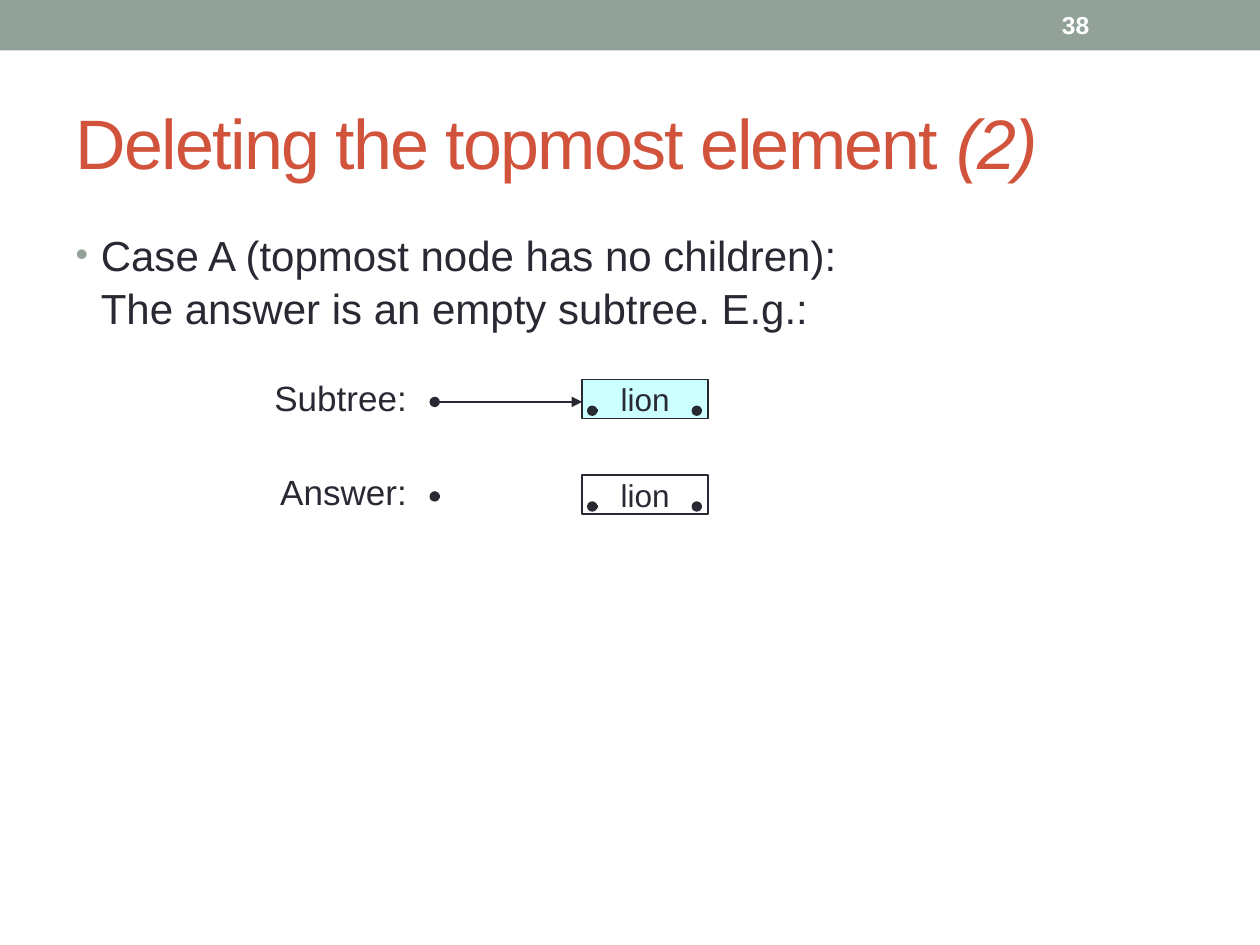
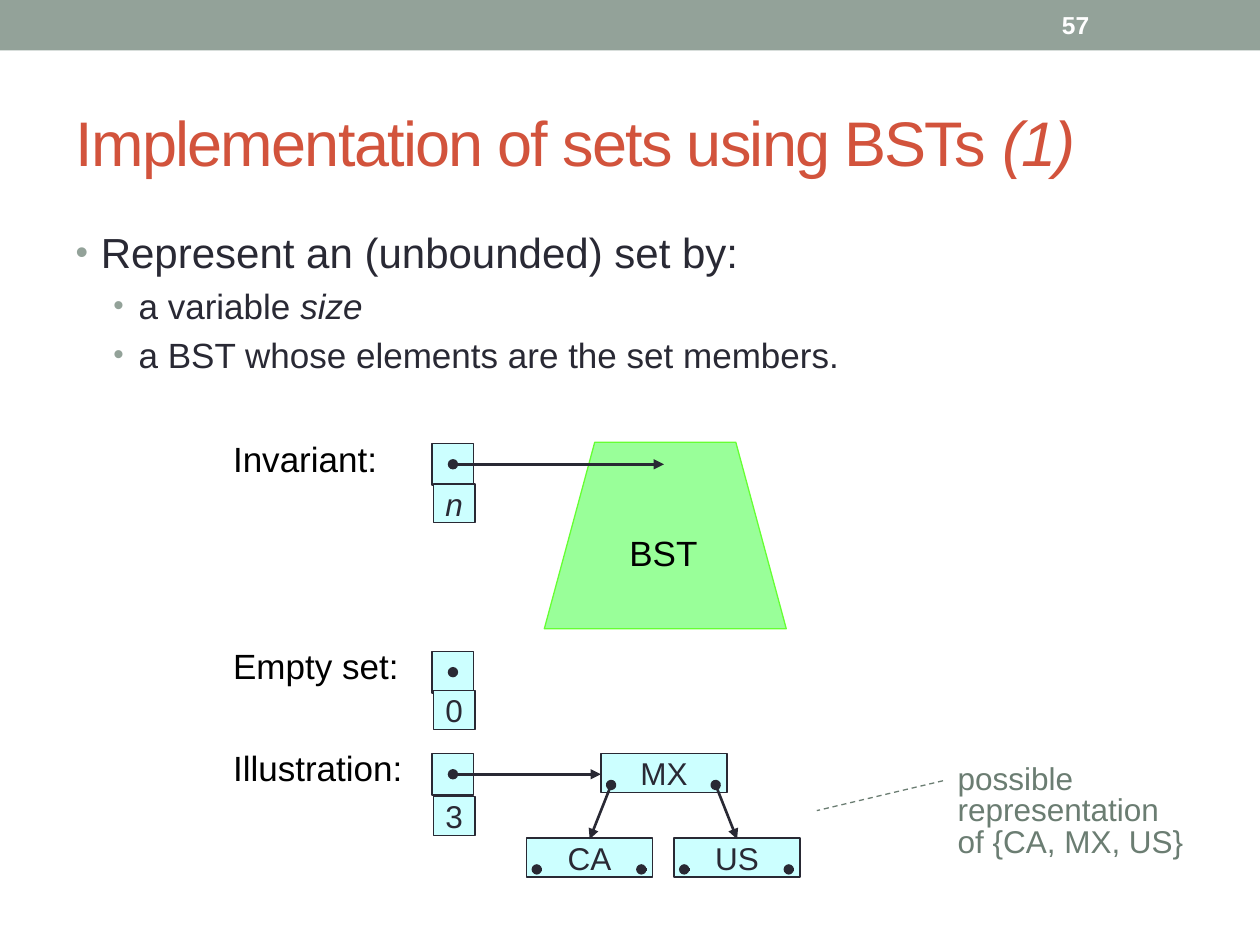
from lxml import etree
from pptx import Presentation
from pptx.dml.color import RGBColor
from pptx.enum.dml import MSO_LINE
from pptx.enum.shapes import MSO_CONNECTOR, MSO_SHAPE
from pptx.enum.text import MSO_ANCHOR, MSO_AUTO_SIZE, PP_ALIGN
from pptx.oxml.ns import qn
from pptx.util import Inches, Pt

RECT, CALLOUT = MSO_SHAPE.RECTANGLE, MSO_SHAPE.LINE_CALLOUT_1_NO_BORDER
STRAIGHT, DASH = MSO_CONNECTOR.STRAIGHT, MSO_LINE.DASH
TOP, MIDDLE = MSO_ANCHOR.TOP, MSO_ANCHOR.MIDDLE
LEFT, CENTER, RIGHT = PP_ALIGN.LEFT, PP_ALIGN.CENTER, PP_ALIGN.RIGHT
NO_FIT = MSO_AUTO_SIZE.NONE

SAGE = RGBColor(0x93, 0xA2, 0x99)
DARK_SAGE = RGBColor(0x6B, 0x7D, 0x72)
RUST = RGBColor(0xD2, 0x53, 0x3C)
INK = RGBColor(0x29, 0x29, 0x34)
BLACK = RGBColor(0, 0, 0)
WHITE = RGBColor(0xFF, 0xFF, 0xFF)
CYAN = RGBColor(0xCC, 0xFF, 0xFF)
GREEN = RGBColor(0x99, 0xFF, 0x99)
BRIGHT_GREEN = RGBColor(0x66, 0xFF, 0x33)

# Diagram grid, in inches
NODE_W, NODE_H = 1, 0.31
CELL = 0.33
LABEL_H = 0.28
LINK_LEFT, LINK_RIGHT, LINK_DOWN = 0.08, 0.91, 0.25
STUB = 0.04
RECORD_X, LABEL_X = 3.43, 1.85
ROOT_X, LEFT_X, RIGHT_X = 4.77, 4.18, 5.35
ROOT_Y, CHILD_Y = 5.98, 6.65


def write(frame, runs, size, color, align=LEFT, anchor=TOP, inset=None,
          bold=False, paragraph=None):
    """Add (text, italic) runs to a paragraph, the first one by default."""
    frame.word_wrap, frame.auto_size = True, NO_FIT
    frame.vertical_anchor = anchor
    if inset is not None:
        frame.margin_left = frame.margin_right = Inches(inset)
        frame.margin_top = frame.margin_bottom = 0
    paragraph = paragraph or frame.paragraphs[0]
    paragraph.alignment = align
    for text, italic in runs:
        if text == "\n":
            paragraph.add_line_break()
            etree.SubElement(paragraph._p[-1], qn("a:rPr"), sz=str(size * 100))
            continue
        run = paragraph.add_run()
        run.text = text
        run.font.name, run.font.size = "Arial", Pt(size)
        run.font.color.rgb = color
        run.font.italic, run.font.bold = italic, bold
    return paragraph


def add_pointer(slide, start, end=None):
    """Draw a dot at start, with an arrow to end unless the pointer is null."""
    x, y = start
    to_x, to_y = end or (x + STUB, y)
    line = slide.shapes.add_connector(
        STRAIGHT, Inches(x), Inches(y), Inches(to_x), Inches(to_y))
    line.line.color.rgb, line.line.width = INK, Pt(1.5)
    outline = line.line._get_or_add_ln()
    etree.SubElement(outline, qn("a:headEnd"), type="oval")
    if end:
        etree.SubElement(outline, qn("a:tailEnd"), type="triangle")
    etree.SubElement(line._element.spPr, qn("a:effectLst"))


prs = Presentation()
prs.slide_width, prs.slide_height = Inches(10), Inches(7.5)

# Band, number, title and list of each slide; list rows are (level, runs)
pages = [
    ("38", 40, "Deleting the topmost element ", "(2)", [
        (0, [("Case A (topmost node has no children): ", False), ("\n", False),
             ("The answer is an empty subtree. E.g.:", False)])]),
    ("57", 36, "Implementation of sets using BSTs ", "(1)", [
        (0, [("Represent an (unbounded) set by:", False)]),
        (1, [("a variable ", False), ("size", True)]),
        (1, [("a BST whose elements are the set members.", False)])]),
]
for number, title_size, heading, part, points in pages:
    slide = prs.slides.add_slide(prs.slide_layouts[1])
    band = slide.shapes.add_shape(RECT, 0, 0, prs.slide_width, Inches(0.4))
    band.shadow.inherit = False
    band.fill.solid()
    band.fill.fore_color.rgb = SAGE
    band.line.fill.background()
    page_number = slide.shapes.add_textbox(
        Inches(8.33), Inches(0.02), Inches(1.17), Inches(0.36))
    write(page_number.text_frame, [(number, False)], 14, WHITE,
          anchor=MIDDLE, bold=True)

    title, body = slide.placeholders
    title.left, title.top = Inches(0.5), Inches(0.58)
    title.width, title.height = Inches(9), Inches(1.08)
    title_line = write(title.text_frame, [(heading, False), (part, True)],
                       title_size, RUST, anchor=MIDDLE)
    for run in title_line.runs:
        run.font._element.set("spc", "-100")

    body.left, body.top = Inches(0.5), Inches(1.75)
    body.width, body.height = Inches(9), Inches(5.33)
    for row, (level, runs) in enumerate(points):
        frame = body.text_frame
        point = frame.add_paragraph() if row else frame.paragraphs[0]
        size = 20 if level else 24
        point.level = level
        props = point._p.get_or_add_pPr()
        props.set("marL", str(Inches(0.5 if level else 0.2)))
        props.set("indent", str(-Inches(0.2)))
        bullet_color = etree.SubElement(props, qn("a:buClr"))
        etree.SubElement(bullet_color, qn("a:srgbClr"), val=str(SAGE))
        etree.SubElement(props, qn("a:buSzPct"), val="85000")
        etree.SubElement(props, qn("a:buFont"), typeface="Arial")
        etree.SubElement(props, qn("a:buChar"), char="•")
        point.space_before = Pt(size * 0.2 if row else 0)
        if ("\n", False) in runs:
            point.line_spacing = 1.05
        write(frame, runs, size, INK, paragraph=point)

deleting, sets = prs.slides

# Tree of the invariant, drawn under its pointer
corners = [(Inches(x), Inches(y)) for x, y in
           [(4.72, 3.51), (5.84, 3.51), (6.24, 4.99), (4.32, 4.99)]]
outline = sets.shapes.build_freeform(*corners[0], scale=1.0)
outline.add_line_segments(corners[1:], close=True)
tree = outline.convert_to_shape()
tree.shadow.inherit = False
tree.fill.solid()
tree.fill.fore_color.rgb = GREEN
tree.line.color.rgb, tree.line.width = BRIGHT_GREEN, Pt(0.75)

# Set records: top of the pointer cell, top of the size cell, size, target x
records = [(3.52, 3.84, "n", 5.27), (5.17, 5.48, "0", None),
           (ROOT_Y, 6.32, "3", ROOT_X)]

# Boxes: slide, text, left, top, width, height, fill
nodes = [
    (deleting, "lion", 4.62, 3.01, CYAN),
    (deleting, "lion", 4.62, 3.77, WHITE),
    (sets, "MX", ROOT_X, ROOT_Y, CYAN),
    (sets, "CA", LEFT_X, CHILD_Y, CYAN),
    (sets, "US", RIGHT_X, CHILD_Y, CYAN),
]
boxes = [(slide, text, x, y, NODE_W, NODE_H, fill)
         for slide, text, x, y, fill in nodes]
for cell_y, size_y, count, target in records:
    boxes += [(sets, "", RECORD_X, cell_y, CELL, CELL, CYAN),
              (sets, count, RECORD_X + 0.01, size_y, CELL, NODE_H, CYAN)]
for slide, text, x, y, width, height, fill in boxes:
    box = slide.shapes.add_shape(
        RECT, Inches(x), Inches(y), Inches(width), Inches(height))
    box.shadow.inherit = False
    box.fill.solid()
    box.fill.fore_color.rgb = fill
    box.line.color.rgb, box.line.width = INK, Pt(0.75)
    if text:
        write(box.text_frame, [(text, text == "n")], 18, INK, CENTER, MIDDLE, 0)

# Pointers of the nodes, of the records and of the subtree variable
for slide, text, x, y, fill in nodes:
    targets = (None, None)
    if text == "MX":
        targets = [(child + NODE_W / 2, CHILD_Y + 0.01)
                   for child in (LEFT_X, RIGHT_X)]
    for offset, target in zip((LINK_LEFT, LINK_RIGHT), targets):
        add_pointer(slide, (x + offset, y + LINK_DOWN), target)
for cell_y, size_y, count, target in records:
    middle = cell_y + CELL / 2
    add_pointer(sets, (RECORD_X + CELL / 2, middle), target and (target, middle))
add_pointer(deleting, (3.45, 3.19), (4.62, 3.19))
add_pointer(deleting, (3.45, 3.94))

# Labels
labels = [
    (deleting, "Subtree:", 2.17, 3.04, 1.06, INK, RIGHT),
    (deleting, "Answer:", 2.17, 3.79, 1.06, INK, RIGHT),
    (sets, "Invariant:", LABEL_X, 3.53, 1.5, BLACK, LEFT),
    (sets, "Empty set:", LABEL_X, 5.17, 1.5, BLACK, LEFT),
    (sets, "Illustration:", LABEL_X, ROOT_Y, 1.5, BLACK, LEFT),
    (sets, "BST", 4.96, 4.27, 0.61, BLACK, CENTER),
]
for slide, text, x, y, width, color, align in labels:
    label = slide.shapes.add_textbox(
        Inches(x), Inches(y), Inches(width), Inches(LABEL_H))
    line = write(label.text_frame, [(text, False)], 20, color, align, inset=0)
    line.line_spacing = Pt(20)

# Remark on the illustration
remark = sets.shapes.add_shape(
    CALLOUT, Inches(7.56), Inches(6.07), Inches(1.89), Inches(0.79))
for index, share in enumerate((0.16, -0.04, 0.46, -0.57)):
    remark.adjustments[index] = share
remark.shadow.inherit = False
remark.fill.background()
remark.line.color.rgb, remark.line.width = DARK_SAGE, Pt(0.75)
remark.line.dash_style = DASH
remark_line = write(remark.text_frame,
                    [("possible representation of {CA, MX, US}", False)],
                    18, DARK_SAGE, inset=0.04)
remark_line.line_spacing = Pt(18)

prs.save("out.pptx")
